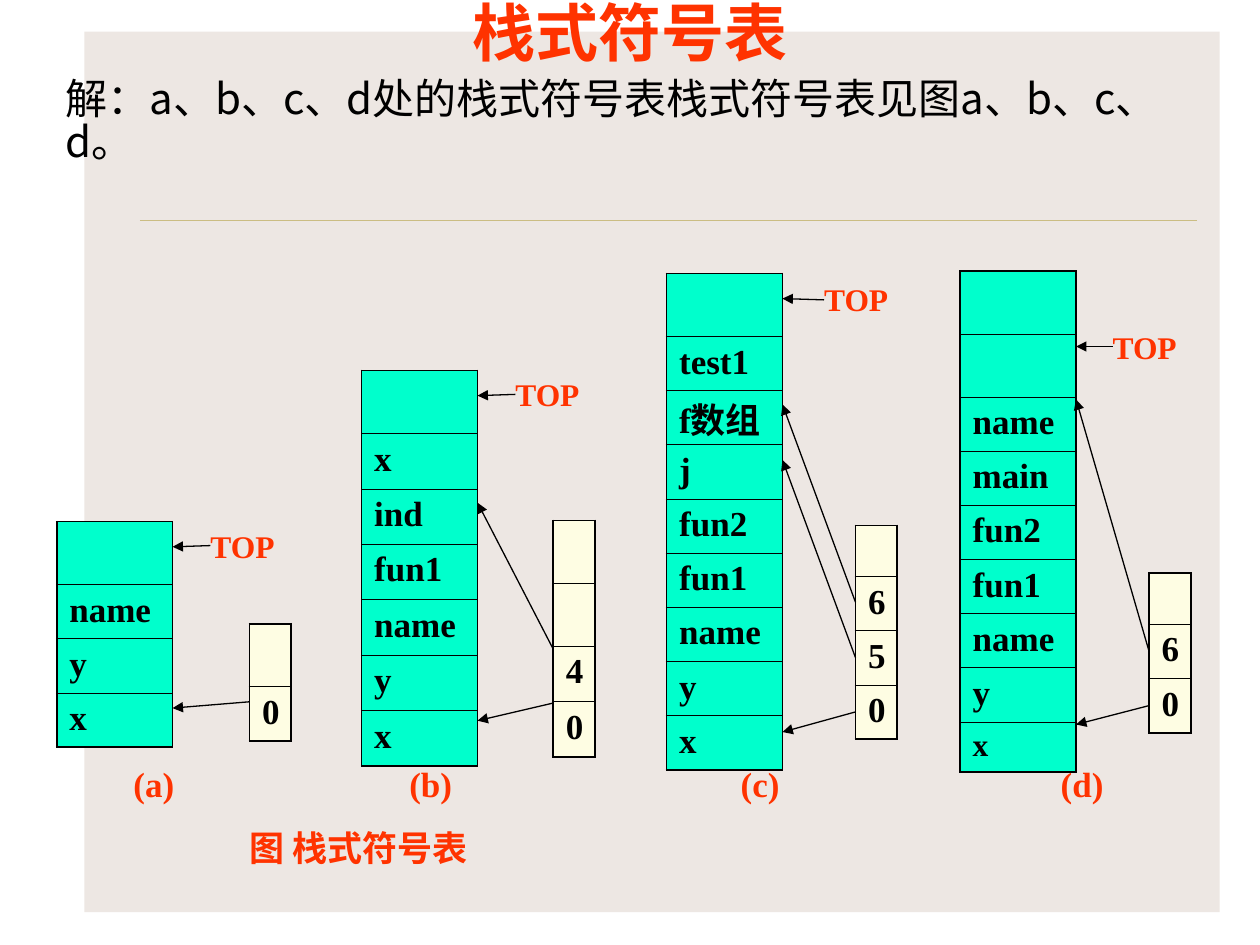
import pptx
import pptx.util
import pptx.dml.color
import pptx.enum.shapes
import pptx.enum.text
import lxml.etree
from dataclasses import dataclass

Inches, Pt = pptx.util.Inches, pptx.util.Pt
Align = pptx.enum.text.PP_ALIGN
Anchor = pptx.enum.text.MSO_ANCHOR


@dataclass(frozen=True)
class Theme:
    panel: str = "EDE7E3"
    rule: str = "CBBD83"
    stack: str = "00FFCC"
    index: str = "FEFDE3"
    ink: str = "000000"
    accent: str = "FF3300"
    latin: str = "Times New Roman"
    cjk: str = "Noto Sans CJK SC"
    title: int = 36
    body: int = 24
    cell: int = 20
    label: int = 18
    outer: float = 1.08
    inner: float = 0.45
    arrow: float = 0.74


T = Theme()
TITLE = "栈式符号表"
BODY = "解：a、b、c、d处的栈式符号表栈式符号表见图a、b、c、d。"
CAPTION = "图 栈式符号表"
STACK_W, INDEX_W, EMPTY_H = 0.92, 0.33, 0.5
PANELS = [
    dict(name="(a)", tab=0.63, row=0.43,
         stack=(0.45, 4.14, ["", "name", "y", "x"]),
         index=(1.98, 4.95, ["", "0"], EMPTY_H),
         top=(1.67, 4.18, 4.33, 4.34), links=[(5.57, 5.62)]),
    dict(name="(b)", tab=2.82, row=0.44,
         stack=(2.87, 2.94, ["", "x", "ind", "fun1", "name", "y", "x"]),
         index=(4.39, 4.13, ["", "", "4", "0"], EMPTY_H),
         top=(4.09, 2.98, 3.13, 3.14), links=[(5.58, 5.72), (5.15, 3.99)]),
    dict(name="(c)", tab=5.45, row=0.43,
         stack=(5.29, 2.17, ["", "test1", "f数组", "j", "fun2", "fun1", "name", "y", "x"]),
         index=(6.79, 4.17, ["", "6", "5", "0"], 0.4),
         top=(6.54, 2.22, 2.38, 2.37), links=[(5.65, 5.81), (5.22, 3.65), (4.78, 3.21)]),
    dict(name="(d)", tab=7.99, row=0.43, last=0.4,
         stack=(7.62, 2.15, ["", "", "name", "main", "fun2", "fun1", "name", "y", "x"]),
         index=(9.12, 4.55, ["", "6", "0"], 0.4),
         top=(8.83, 2.6, 2.75, 2.75), links=[(5.6, 5.75), (5.17, 3.17)]),
]

prs = pptx.Presentation()
prs.slide_width, prs.slide_height = Inches(10), Inches(7.5)
s = prs.slides.add_slide(prs.slide_layouts[1])


def rgb(value):
    return pptx.dml.color.RGBColor.from_string(value)


def child(parent, tag, **attrs):
    node = lxml.etree.SubElement(parent, pptx.oxml.ns.qn(tag))
    for key, value in attrs.items():
        node.set(key, str(value))
    return node


def add_run(p, text, size, color, font, bold=False):
    r = p.add_run()
    r.text = text
    r.font.size, r.font.bold, r.font.name = Pt(size), bold, font
    r.font.color.rgb = rgb(color)
    child(r.font._element, "a:ea", typeface=T.cjk)


def place(sp, x, y, w, h):
    sp.left, sp.top, sp.width, sp.height = map(Inches, (x, y, w, h))


def set_frame(tf, mx=0.1, my=0.05, anchor=Anchor.TOP):
    tf.word_wrap = True
    tf.auto_size = pptx.enum.text.MSO_AUTO_SIZE.NONE
    tf.margin_left = tf.margin_right = Inches(mx)
    tf.margin_top = tf.margin_bottom = Inches(my)
    tf.vertical_anchor = anchor
    return tf


def add_line(x1, y1, x2, y2, color, width, arrow=False):
    line = s.shapes.add_connector(pptx.enum.shapes.MSO_CONNECTOR.STRAIGHT,
                                  *map(Inches, (x1, y1, x2, y2)))
    line.line.color.rgb, line.line.width = rgb(color), Pt(width)
    if arrow:
        child(line.line._get_or_add_ln(), "a:tailEnd", type="triangle")
    child(line._element.spPr, "a:effectLst")
    return line


def add_column(x, y, w, texts, heights, fill):
    frame = s.shapes.add_table(len(texts), 1, *map(Inches, (x, y, w, sum(heights))))
    table = frame.table
    table.first_row = table.horz_banding = False
    table.columns[0].width = Inches(w)
    for i, (text, height) in enumerate(zip(texts, heights)):
        table.rows[i].height = Inches(height)
        cell = table.cell(i, 0)
        top = T.inner if i else T.outer
        bottom = T.outer if i == len(texts) - 1 else T.inner
        tc_pr = cell._tc.get_or_add_tcPr()
        for side, width in zip("LRTB", (T.outer, T.outer, top, bottom)):
            ln = child(tc_pr, "a:ln" + side, w=int(Pt(width)))
            child(child(ln, "a:solidFill"), "a:srgbClr", val=T.ink)
        cell.fill.solid()
        cell.fill.fore_color.rgb = rgb(fill)
        if not text:
            continue
        p = cell.text_frame.paragraphs[0]
        p.alignment, p.space_before = Align.JUSTIFY, Pt(5)
        size = T.label if height < 0.43 else T.cell
        latin = "".join(c for c in text if c.isascii())
        add_run(p, latin, size, T.ink, T.latin, True)
        if latin != text:
            add_run(p, text[len(latin):], size, T.ink, T.cjk, True)
            cell.margin_top, cell.margin_bottom = Inches(0.02), 0


def add_panel(panel):
    row = panel["row"]
    x, y, texts = panel["stack"]
    heights = [row if t else EMPTY_H for t in texts]
    heights[-1] = panel.get("last", row)
    add_column(x, y, STACK_W, texts, heights, T.stack)
    index_x, index_y, values, empty = panel["index"]
    add_column(index_x, index_y, INDEX_W, values,
               [row if v else empty for v in values], T.index)
    edge = x + STACK_W
    for start, end in panel["links"]:
        add_line(index_x, start, edge, end, T.ink, T.arrow, True)
    top_x, top_y, start, end = panel["top"]
    box = s.shapes.add_textbox(*map(Inches, (top_x, top_y, 0.75, 0.3)))
    p = set_frame(box.text_frame, 0, 0).paragraphs[0]
    add_run(p, "TOP", T.label, T.accent, T.latin, True)
    add_line(top_x, start, edge, end, T.ink, T.arrow, True)


def add_tabs(p, stops):
    tabs = child(p._p.get_or_add_pPr(), "a:tabLst")
    for stop in stops:
        child(tabs, "a:tab", pos=int(Inches(stop)), algn="l")


title, body = s.shapes.title, s.placeholders[1]
panel_bg = s.shapes.add_shape(pptx.enum.shapes.MSO_SHAPE.RECTANGLE,
                              *map(Inches, (0.67, 0.25, 9.01, 6.99)))
panel_bg.shadow.inherit = False
panel_bg.fill.solid()
panel_bg.fill.fore_color.rgb = rgb(T.panel)
panel_bg.line.fill.background()
rule = add_line(1.11, 1.75, 9.5, 1.75, T.rule, 0.26)
for back in (panel_bg, rule):
    title._element.addprevious(back._element)

place(title, 0.75, 0, 8.5, 0.5)
p = set_frame(title.text_frame, anchor=Anchor.MIDDLE).paragraphs[0]
p.alignment = Align.CENTER
add_run(p, TITLE, T.title, T.accent, T.cjk, True)

place(body, 0.42, 0.58, 9.17, 0.9)
p = set_frame(body.text_frame).paragraphs[0]
p.space_before, p.line_spacing = Pt(15), 0.86
p_pr = p._p.get_or_add_pPr()
p_pr.set("marL", "0")
p_pr.set("indent", "0")
child(p_pr, "a:buNone")
add_run(p, BODY, T.body, T.ink, T.cjk)

for panel in PANELS:
    add_panel(panel)

captions = s.shapes.add_textbox(*map(Inches, (0.33, 6, 9.25, 0.94)))
tf = set_frame(captions.text_frame)
p = tf.paragraphs[0]
p.space_before = Pt(12.5)
add_tabs(p, [panel["tab"] for panel in PANELS])
for panel in PANELS:
    add_run(p, "\t" + panel["name"], T.cell, T.accent, T.latin, True)
p = tf.add_paragraph()
p.space_before = Pt(12.5)
add_tabs(p, [1.55])
add_run(p, "\t" + CAPTION, T.cell, T.accent, T.cjk, True)

prs.save("out.pptx")
